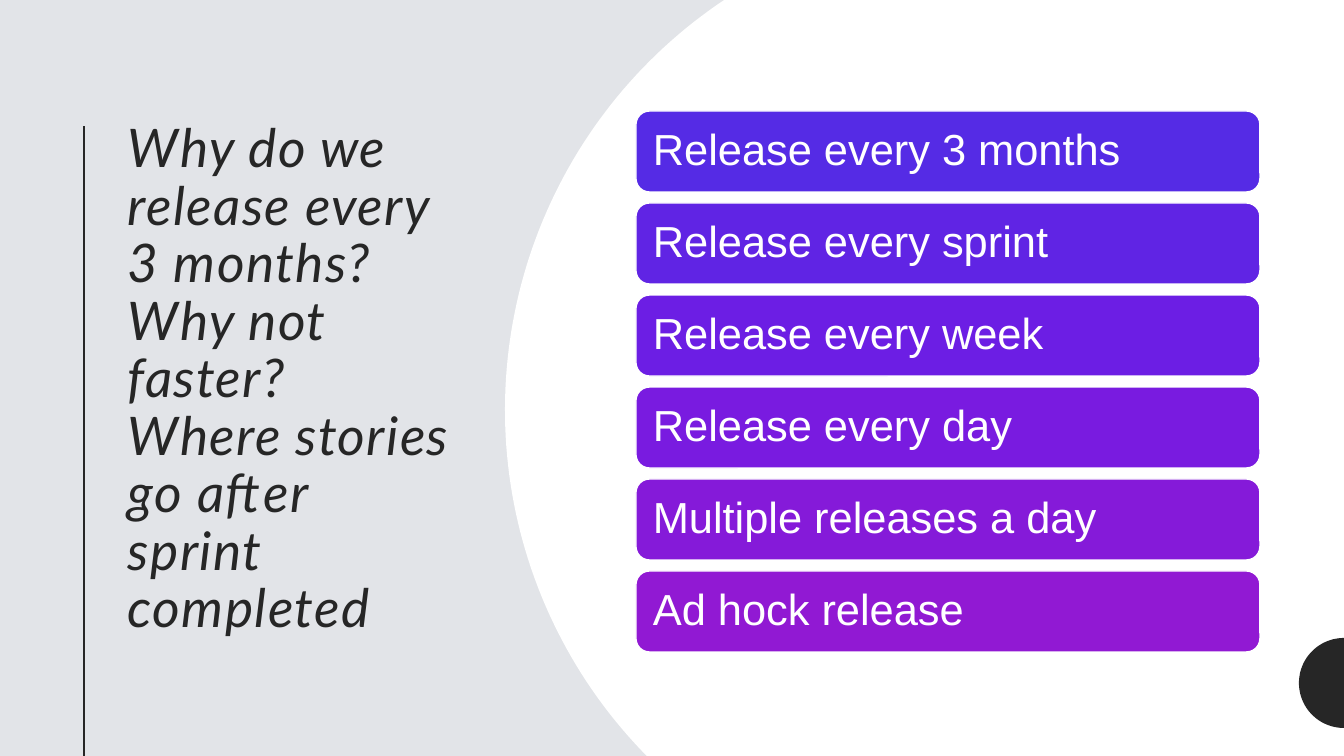
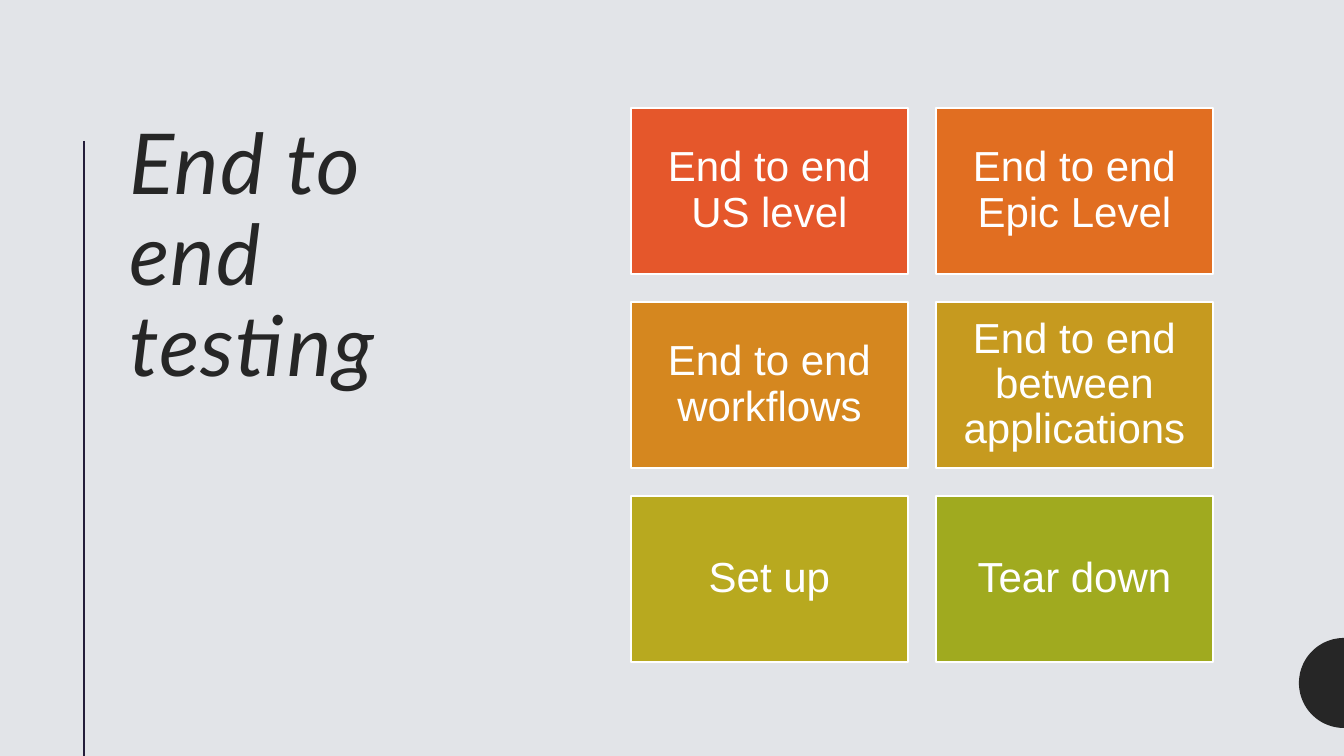
import math

import pptx
import pptx.dml.color
import pptx.enum.shapes
import pptx.enum.text
import pptx.oxml
import pptx.oxml.ns
import pptx.util

RGBColor = pptx.dml.color.RGBColor
Shape = pptx.enum.shapes.MSO_SHAPE
Align = pptx.enum.text.PP_ALIGN
Anchor = pptx.enum.text.MSO_ANCHOR

EMU_PER_PX = 914400 / 100.8
PAGE_WIDTH, PAGE_HEIGHT = 1344, 756

GREY = RGBColor(0xE2, 0xE4, 0xE8)
INK = RGBColor(0x26, 0x26, 0x26)
NAVY = RGBColor(0x24, 0x1D, 0x3A)
WHITE = RGBColor(0xFF, 0xFF, 0xFF)

RELEASES = [
    ("Release every 3 months", RGBColor(0x55, 0x2B, 0xE5)),
    ("Release every sprint", RGBColor(0x60, 0x24, 0xE4)),
    ("Release every week", RGBColor(0x6C, 0x1E, 0xE4)),
    ("Release every day", RGBColor(0x79, 0x1B, 0xE0)),
    ("Multiple releases a day", RGBColor(0x85, 0x1A, 0xD9)),
    ("Ad hock release", RGBColor(0x91, 0x19, 0xD3)),
]
TESTS = [
    ("End to end US level", RGBColor(0xE5, 0x57, 0x2B)),
    ("End to end Epic Level", RGBColor(0xE1, 0x6E, 0x21)),
    ("End to end workflows", RGBColor(0xD5, 0x87, 0x1F)),
    ("End to end between applications", RGBColor(0xC6, 0x9A, 0x1F)),
    ("Set up", RGBColor(0xB8, 0xA9, 0x1F)),
    ("Tear down", RGBColor(0xA0, 0xAA, 0x1F)),
]


def px(length):
    return pptx.util.Emu(round(length * EMU_PER_PX))


def write_text(shape, text, *, size, font="Arial", color=WHITE, italic=False,
               spacing=0, align=Align.LEFT, anchor=Anchor.MIDDLE, insets=(10, 5)):
    """Insets are (sides, top and bottom) in px; spacing is in points."""
    frame = shape.text_frame
    frame.word_wrap = True
    frame.vertical_anchor = anchor
    frame.margin_left = frame.margin_right = px(insets[0])
    frame.margin_top = frame.margin_bottom = px(insets[1])
    para = frame.paragraphs[0]
    para.alignment = align
    para.line_spacing = 0.9
    span = para.add_run()
    span.text = text
    span.font.name = font
    span.font.size = pptx.util.Pt(size)
    span.font.italic = italic
    span.font.color.rgb = color
    if spacing:
        span.font._element.set("spc", str(spacing * 100))


def add_title(page, box, text, size):
    title = page.shapes.add_textbox(*map(px, box))
    write_text(title, text, size=size, font="Lato", color=INK, italic=True,
               spacing=1, anchor=Anchor.TOP)


def add_side_rule(page, top, color):
    rule = page.shapes.add_connector(
        pptx.enum.shapes.MSO_CONNECTOR.STRAIGHT,
        px(84), px(top), px(84), px(PAGE_HEIGHT))
    rule.line.color.rgb = color
    rule.line.width = pptx.util.Pt(1.5)
    rule._element.spPr.append(pptx.oxml.parse_xml(
        "<a:effectLst %s/>" % pptx.oxml.ns.nsdecls("a")))


def add_arc_panel(page, center, radius, top, bottom, color):
    """Fill from the left arc of a circle to the right edge of the page."""
    center_x, center_y = center
    start = math.asin((center_y - top) / radius)
    end = math.asin((center_y - bottom) / radius)
    steps = 90
    angles = [start + (end - start) * step / steps for step in range(steps + 1)]
    arc = [(px(center_x - radius * math.cos(angle)),
            px(center_y - radius * math.sin(angle))) for angle in angles]
    outline = page.shapes.build_freeform(px(PAGE_WIDTH), px(top))
    outline.add_line_segments(arc + [(px(PAGE_WIDTH), px(bottom))], close=True)
    panel = outline.convert_to_shape()
    panel.shadow.inherit = False
    panel.fill.solid()
    panel.fill.fore_color.rgb = color
    panel.line.fill.background()


def add_card_grid(page, box, cards, *, columns, gap, kind, **text_format):
    left, top, width, height = box
    rows = math.ceil(len(cards) / columns)
    step_x = (width + gap) // columns
    step_y = (height + gap) // rows
    for index, (text, color) in enumerate(cards):
        row, column = divmod(index, columns)
        card = page.shapes.add_shape(
            kind, px(left + column * step_x), px(top + row * step_y),
            px(step_x - gap), px(step_y - gap))
        card.shadow.inherit = False
        card.fill.solid()
        card.fill.fore_color.rgb = color
        card.line.color.rgb = WHITE
        card.line.width = pptx.util.Pt(1)
        write_text(card, text, **text_format)


def add_page(deck):
    """Add a blank page with the grey ground and the dark half disc."""
    page = deck.slides.add_slide(deck.slide_layouts[6])
    page.background.fill.solid()
    page.background.fill.fore_color.rgb = GREY
    add_arc_panel(page, (PAGE_WIDTH, 683), 45, 638, 728, INK)
    return page


def add_release_page(deck):
    page = add_page(deck)
    add_title(page, (118, 117, 344, 530),
              "Why do we release every 3 months? Why not faster? "
              "Where stories go after sprint completed", 38)
    add_side_rule(page, 126, INK)
    add_arc_panel(page, (998, 410), 493, 0, PAGE_HEIGHT, WHITE)
    add_arc_panel(page, (PAGE_WIDTH, 683), 45, 638, 728, INK)
    add_card_grid(page, (636, 111, 624, 541), RELEASES, columns=1, gap=11,
                  kind=Shape.ROUNDED_RECTANGLE, size=31, insets=(13, 9))


def add_testing_page(deck):
    page = add_page(deck)
    add_title(page, (119, 117, 390, 530), "End to end testing", 60)
    add_side_rule(page, 141, NAVY)
    add_card_grid(page, (631, 108, 582, 554), TESTS, columns=2, gap=28,
                  kind=Shape.RECTANGLE, size=30, insets=(12, 12),
                  align=Align.CENTER)


def main():
    deck = pptx.Presentation()
    deck.slide_width, deck.slide_height = px(PAGE_WIDTH), px(PAGE_HEIGHT)
    add_release_page(deck)
    add_testing_page(deck)
    deck.save("out.pptx")


if __name__ == "__main__":
    main()
